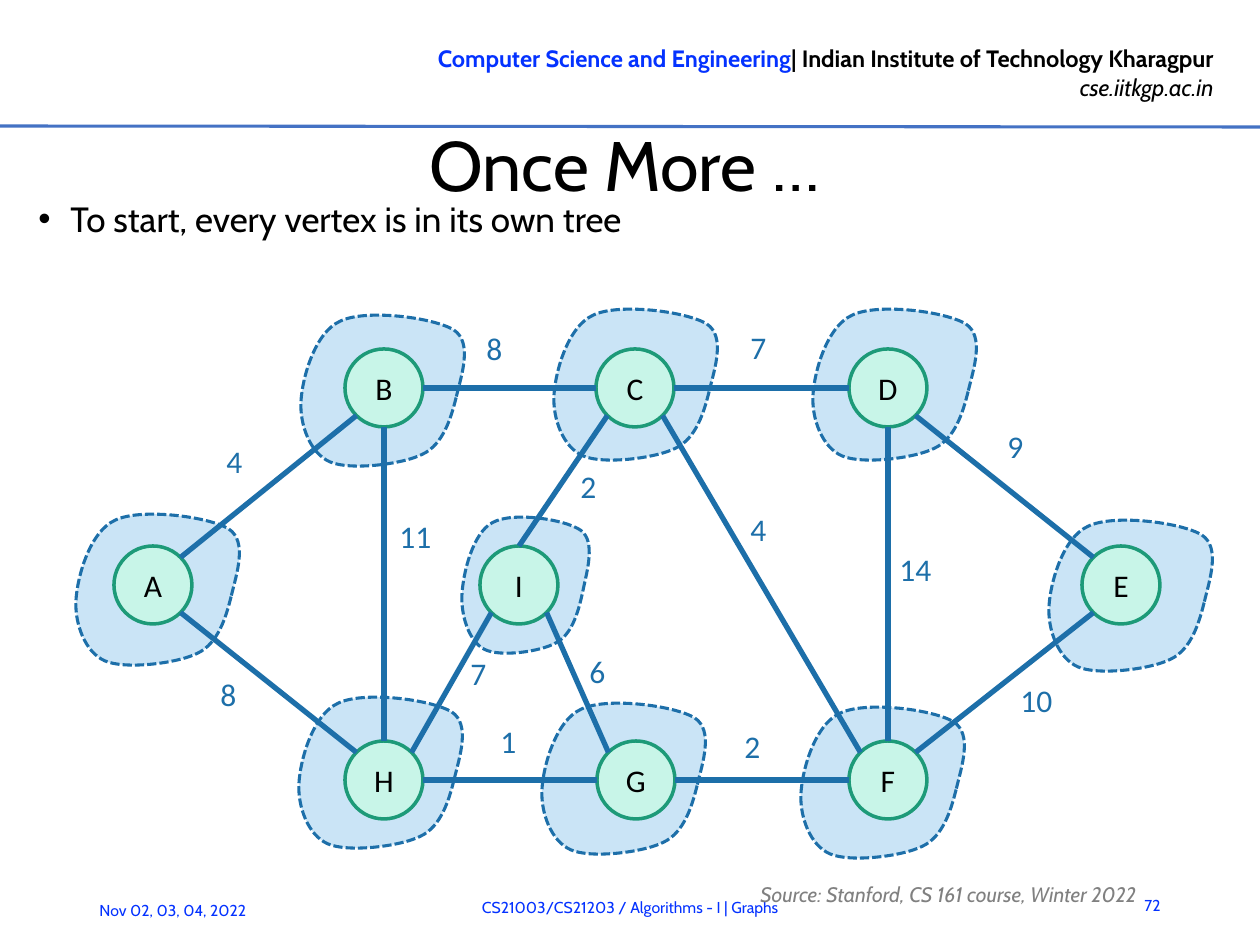
from lxml.etree import SubElement
from pptx import Presentation
from pptx.dml.color import RGBColor
from pptx.enum.shapes import MSO_CONNECTOR, MSO_SHAPE
from pptx.enum.dml import MSO_LINE
from pptx.enum.text import MSO_ANCHOR, PP_ALIGN
from pptx.oxml.ns import qn
from pptx.util import Pt

PX = 914400 / 126
BLUE, EDGE, TREE = "0432FF", "1D6FA9", "CAE4F6"
NODE_FILL, NODE_LINE, BLACK = "C8F5E8", "1D9A78", "000000"
RADIUS = 39
TREE_START = (123, 65)
TREE_CURVES = [
    ((127, 48), (136, 22), (121, 12)),
    ((105, 2), (51, -5), (31, 5)),
    ((11, 14), (1, 50), (0, 69)),
    ((-1, 87), (7, 110), (23, 117)),
    ((39, 124), (80, 119), (96, 111)),
    ((113, 103), (119, 81), TREE_START),
]
TREE_UNITS = (129, 121)
TREE_SIZE = (163, 152)
VERTICES = {
    "A": ((153, 315), (76, 244), TREE_SIZE),
    "B": ((384, 118), (301, 45), TREE_SIZE),
    "C": ((635, 118), (554, 39), TREE_SIZE),
    "D": ((888, 118), (813, 39), TREE_SIZE),
    "E": ((1121, 315), (1049, 250), TREE_SIZE),
    "F": ((888, 510), (801, 437), TREE_SIZE),
    "G": ((636, 510), (542, 433), TREE_SIZE),
    "H": ((384, 510), (299, 427), TREE_SIZE),
    "I": ((519, 315), (462, 247), (127, 137)),
}
EDGES = [
    ("A", "NE", "B", "SW", "4", (214, 166)),
    ("A", "SE", "H", "NW", "8", (208, 399)),
    ("B", "E", "C", "W", "8", (474, 53)),
    ("B", "S", "H", "N", "11", (387, 241)),
    ("C", "E", "D", "W", "7", (738, 52)),
    ("C", "SE", "F", "NW", "4", (738, 234)),
    ("I", "N", "C", "SW", "2", (568, 191)),
    ("I", "SE", "G", "NW", "6", (577, 376)),
    ("I", "SW", "H", "NE", "7", (458, 378)),
    ("H", "E", "G", "W", "1", (488, 446)),
    ("G", "E", "F", "W", "2", (732, 451)),
    ("D", "S", "F", "N", "14", (887, 274)),
    ("D", "SE", "E", "NW", "9", (995, 151)),
    ("F", "NE", "E", "SW", "10", (1008, 405)),
]


def emu(px):
    """Turn px into EMU."""
    return round(px * PX)


def colour(hex_code):
    """Turn a hex string into a colour."""
    return RGBColor.from_string(hex_code)


def style(paragraph, size, hex_code, font="Cabin", align=PP_ALIGN.LEFT):
    """Set the font and alignment of a paragraph."""
    paragraph.alignment = align
    paragraph.font.name = font
    paragraph.font.size = Pt(size)
    paragraph.font.color.rgb = colour(hex_code)


def add_text(slide, box, words, size, hex_code, anchor=MSO_ANCHOR.TOP, **look):
    """Add a one-paragraph text box and return its text frame."""
    frame = slide.shapes.add_textbox(*map(emu, box)).text_frame
    frame.word_wrap = True
    frame.vertical_anchor = anchor
    frame.text = words
    style(frame.paragraphs[0], size, hex_code, **look)
    return frame


def add_line(slide, start, end, hex_code, width):
    """Add a straight line between two points."""
    line = slide.shapes.add_connector(MSO_CONNECTOR.STRAIGHT, *map(emu, start + end))
    line.line.color.rgb = colour(hex_code)
    line.line.width = Pt(width)
    SubElement(line._element.spPr, qn("a:effectLst"))


def paint(shape, fill, outline, width):
    """Set the fill and outline of a shape."""
    shape.shadow.inherit = False
    shape.fill.solid()
    shape.fill.fore_color.rgb = colour(fill)
    shape.line.color.rgb = colour(outline)
    shape.line.width = Pt(width)


def add_header(slide, box):
    """Place the institute banner and the rule below it."""
    x, y, width, height = box
    frame = add_text(slide, (x + 334, y + 38, 892, 71), "", 13.5, BLACK, align=PP_ALIGN.RIGHT)
    banner = frame.paragraphs[0]
    banner.font.bold = True
    department = banner.add_run()
    department.text = "Computer Science and Engineering"
    department.font.color.rgb = colour(BLUE)
    banner.add_run().text = "| Indian Institute of Technology Kharagpur"
    site = frame.add_paragraph()
    site.text = "cse.iitkgp.ac.in"
    style(site, 13.5, BLACK, align=PP_ALIGN.RIGHT)
    site.font.italic = True
    add_line(slide, (x, y + height), (x + width, y + height + 1), "4472C4", 1.75)


def add_heading(slide, box):
    """Place the title and the bullet under it."""
    x, y, width, _ = box
    title = add_text(slide, (x + 15, y + 1, width - 14, 86), "Once More …", 40, BLACK,
                     MSO_ANCHOR.MIDDLE, align=PP_ALIGN.CENTER)
    title.margin_left = title.margin_right = title.margin_top = title.margin_bottom = 0
    bullet = add_text(slide, (x, y + 84, width, 50), "", 20, BLACK).paragraphs[0]
    properties = bullet._p.get_or_add_pPr()
    properties.set("marL", str(emu(32)))
    properties.set("indent", str(emu(-32)))
    SubElement(properties, qn("a:buFont")).set("typeface", "Arial")
    SubElement(properties, qn("a:buChar")).set("char", "•")
    bullet.text = "To start, every vertex is in its own tree"
    bullet.line_spacing = Pt(17)
    bullet.space_after = Pt(2)
    style(bullet, 20, BLACK)


def add_tree(slide, box):
    """Draw the dashed region around one vertex with curved sides."""
    builder = slide.shapes.build_freeform(*TREE_START)
    builder.add_line_segments([curve[-1] for curve in TREE_CURVES], close=False)
    tree = builder.convert_to_shape()
    tree.left, tree.top, tree.width, tree.height = map(emu, box)
    outline = tree._element.spPr.find(".//" + qn("a:path"))
    for segment in list(outline):
        outline.remove(segment)
    outline.set("w", str(TREE_UNITS[0]))
    outline.set("h", str(TREE_UNITS[1]))
    for tag, points in [("a:moveTo", [TREE_START])] + [("a:cubicBezTo", c) for c in TREE_CURVES]:
        segment = SubElement(outline, qn(tag))
        for x, y in points:
            SubElement(segment, qn("a:pt"), x=str(x), y=str(y))
    SubElement(outline, qn("a:close"))
    paint(tree, TREE, EDGE, 1.75)
    tree.line.dash_style = MSO_LINE.SQUARE_DOT
    tree.line._ln.find(qn("a:prstDash")).set("val", "sysDash")


def add_vertex(slide, centre, letter):
    """Draw one lettered vertex around its centre."""
    x, y = centre
    box = (x - RADIUS, y - RADIUS, 2 * RADIUS, 2 * RADIUS)
    vertex = slide.shapes.add_shape(MSO_SHAPE.OVAL, *map(emu, box))
    paint(vertex, NODE_FILL, NODE_LINE, 2)
    frame = vertex.text_frame
    frame.vertical_anchor = MSO_ANCHOR.MIDDLE
    frame.text = letter
    style(frame.paragraphs[0], 18, BLACK, "Calibri", PP_ALIGN.CENTER)


def rim_point(centre, compass):
    """Return the point on a vertex rim in a compass direction."""
    dx = ("E" in compass) - ("W" in compass)
    dy = ("S" in compass) - ("N" in compass)
    reach = RADIUS / (dx * dx + dy * dy) ** 0.5
    return centre[0] + dx * reach, centre[1] + dy * reach


def add_graph(slide, box):
    """Place the trees, vertices, edges and weights of the graph."""
    left, top, _, _ = box

    def place(point):
        """Shift a point into the box of the graph."""
        return left + point[0], top + point[1]

    for _, corner, size in VERTICES.values():
        add_tree(slide, place(corner) + size)
    for letter, (centre, _, _) in VERTICES.items():
        add_vertex(slide, place(centre), letter)
    for start, leaving, end, arriving, weight, corner in EDGES:
        add_line(slide, rim_point(place(VERTICES[start][0]), leaving),
                 rim_point(place(VERTICES[end][0]), arriving), EDGE, 3)
        add_text(slide, place(corner) + (108, 63), weight, 18, EDGE, font="Calibri")


def add_footer(slide, box):
    """Place the date, course, source and slide number."""
    x, y, _, _ = box
    middle = MSO_ANCHOR.MIDDLE
    add_text(slide, (x + 1111, y + 7, 62, 50), "72", 9, BLUE, middle, align=PP_ALIGN.RIGHT)
    add_text(slide, (x + 87, y + 12, 220, 50), "Nov 02, 03, 04, 2022", 9, BLUE, middle)
    add_text(slide, (x + 208, y + 9, 844, 50), "CS21003/CS21203 / Algorithms - I | Graphs",
             9, BLUE, middle, align=PP_ALIGN.CENTER)
    source = add_text(slide, (x + 748, y + 1, 507, 29),
                      "Source: Stanford, CS 161 course, Winter 2022", 12, "808080", middle)
    source.paragraphs[0].font.italic = True
    source.paragraphs[0].line_spacing = Pt(21.3)


def main():
    """Build the slide and save it."""
    deck = Presentation()
    deck.slide_width, deck.slide_height = emu(1260), emu(945)
    slide = deck.slides.add_slide(deck.slide_layouts[6])
    add_header(slide, (0, 0, 1260, 126))
    add_heading(slide, (26, 120, 1181, 133))
    add_graph(slide, (0, 270, 1260, 590))
    add_footer(slide, (0, 873, 1260, 72))
    deck.save("out.pptx")


if __name__ == "__main__":
    main()
